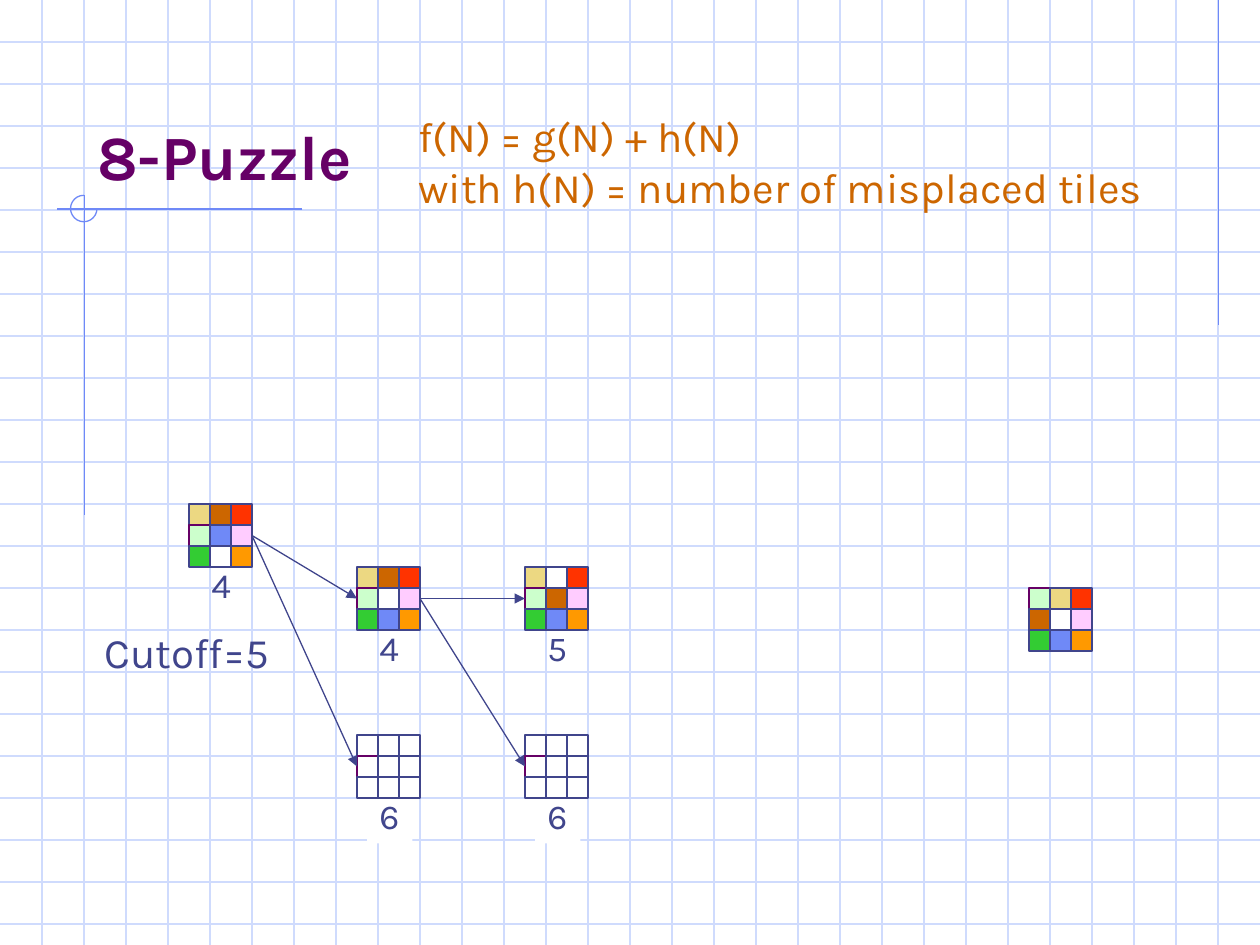
from lxml.etree import SubElement
from pptx import Presentation
from pptx.dml.color import RGBColor
from pptx.enum.shapes import MSO_CONNECTOR, MSO_SHAPE
from pptx.enum.text import MSO_ANCHOR, MSO_AUTO_SIZE, PP_ALIGN
from pptx.oxml.ns import qn
from pptx.util import Inches, Pt

WIDTH, HEIGHT = 10, 7.5
TILE = 1 / 6  # boards sit on a grid of tiles, two tiles to a paper square
SIDE = 3      # tiles along a board
FONT = "Karla"
COLORS = {
    "paper": "CFDBFD", "rule": "6F89F7", "ink": "40458C",
    "title": "660066", "formula": "CC6600", "white": "FFFFFF",
}
TILE_COLORS = {
    "t": "ECD882", "b": "CC6600", "r": "FF3300",
    "m": "CCFFCC", "u": "6F89F7", "p": "FFCCFF",
    "g": "33CC33", "o": "FF9900", ".": "FFFFFF", "x": "FFFFFF",
}
PURPLE_EDGED = "mx"

# name: (column, row, tiles row by row, estimate)
BOARDS = {
    "start": (9, 24, "tbrmupg.o", "4"),
    "goal": (49, 28, "mtrb.pguo", None),
    "blank up": (17, 27, "tbrm.pguo", "4"),
    "cut 1": (17, 35, "...x.....", "6"),
    "cut 2": (25, 35, "...x.....", "6"),
    "blank top": (25, 27, "t.rmbpguo", "5"),
}
MOVES = [("start", "blank up"), ("start", "cut 1"),
         ("blank up", "cut 2"), ("blank up", "blank top")]


def rgb(name):
    return RGBColor.from_string(COLORS[name])


def add_line(s, x1, y1, x2, y2, color, arrow=False):
    line = s.shapes.add_connector(MSO_CONNECTOR.STRAIGHT, Inches(x1), Inches(y1),
                                  Inches(x2), Inches(y2))
    line.line.color.rgb = rgb(color)
    line.line.width = Pt(0.75)
    if arrow:
        SubElement(line.line._get_or_add_ln(), qn("a:tailEnd"), type="triangle")
    SubElement(line._element.spPr, qn("a:effectLst"))


def format_text(tf, size, color, bold=False):
    for p in tf.paragraphs:
        p.alignment = PP_ALIGN.LEFT
        for r in p.runs:
            r.font.name = FONT
            r.font.size = Pt(size)
            r.font.bold = bold
            r.font.color.rgb = rgb(color)


def add_text(s, x, y, w, h, text, size, color):
    box = s.shapes.add_textbox(Inches(x), Inches(y), Inches(w), Inches(h))
    tf = box.text_frame
    tf.word_wrap = False
    tf.text = text
    format_text(tf, size, color)
    return box


def add_paper(s):
    """Squared paper with the ruled corner marks."""
    step = 2 * TILE
    for i in range(1, int(HEIGHT / step) + 1):
        add_line(s, 0, i * step, WIDTH, i * step, "paper")
    for i in range(1, round(WIDTH / step)):
        add_line(s, i * step, 0, i * step, HEIGHT, "paper")
    add_line(s, 9.67, 0, 9.67, 2.58, "rule")
    add_line(s, 2.4, 1.66, 0.45, 1.66, "rule")
    add_line(s, 0.67, 1.55, 0.67, 4.09, "rule")
    arc = s.shapes.add_shape(MSO_SHAPE.ARC, Inches(0.56), Inches(1.55),
                             Inches(0.21), Inches(0.21))
    arc.shadow.inherit = False
    arc.adjustments[0] = 0
    arc.adjustments[1] = 162  # 270 degrees, in 100000ths of 1/60000 degree
    arc.fill.background()
    arc.line.color.rgb = rgb("rule")
    arc.line.width = Pt(0.75)


def add_title(s, text):
    title = s.shapes.title
    s.shapes.element.append(title.element)  # in front of the paper
    title.left, title.top = Inches(0.67), Inches(0.33)
    title.width, title.height = Inches(8.5), Inches(1.25)
    tf = title.text_frame
    tf.text = text
    tf.auto_size = MSO_AUTO_SIZE.NONE
    tf.vertical_anchor = MSO_ANCHOR.BOTTOM
    format_text(tf, 36, "title", bold=True)


def add_board(s, column, row, tiles, estimate):
    if estimate:
        box = add_text(s, column * TILE + 0.08, row * TILE + 0.42, 0.36, 0.44,
                       estimate, 20, "ink")
        if "x" in tiles:
            box.fill.solid()
            box.fill.fore_color.rgb = rgb("white")
    for i, tile in enumerate(tiles):
        dy, dx = divmod(i, SIDE)
        sp = s.shapes.add_shape(MSO_SHAPE.RECTANGLE, Inches((column + dx) * TILE),
                                Inches((row + dy) * TILE), Inches(TILE), Inches(TILE))
        sp.shadow.inherit = False
        sp.fill.solid()
        sp.fill.fore_color.rgb = RGBColor.from_string(TILE_COLORS[tile])
        sp.line.color.rgb = rgb("title" if tile in PURPLE_EDGED else "ink")
        sp.line.width = Pt(0.75)


def add_move(s, parent, child):
    """Arrow from the right side of one board to the left side of the next."""
    (x1, y1), (x2, y2) = BOARDS[parent][:2], BOARDS[child][:2]
    middle = SIDE / 2
    add_line(s, (x1 + SIDE) * TILE, (y1 + middle) * TILE,
             x2 * TILE, (y2 + middle) * TILE, "ink", arrow=True)


def main():
    prs = Presentation()
    prs.slide_width, prs.slide_height = Inches(WIDTH), Inches(HEIGHT)
    s = prs.slides.add_slide(prs.slide_layouts[5])
    add_paper(s)
    add_title(s, "8-Puzzle")
    for board in BOARDS.values():
        add_board(s, *board)
    for parent, child in MOVES:
        add_move(s, parent, child)
    add_text(s, 3.22, 0.83, 6.04, 0.9,
             "f(N) = g(N) + h(N)\nwith h(N) = number of misplaced tiles", 24, "formula")
    add_text(s, 0.73, 4.92, 1.55, 0.5, "Cutoff=5", 24, "ink")
    prs.save("out.pptx")


if __name__ == "__main__":
    main()
